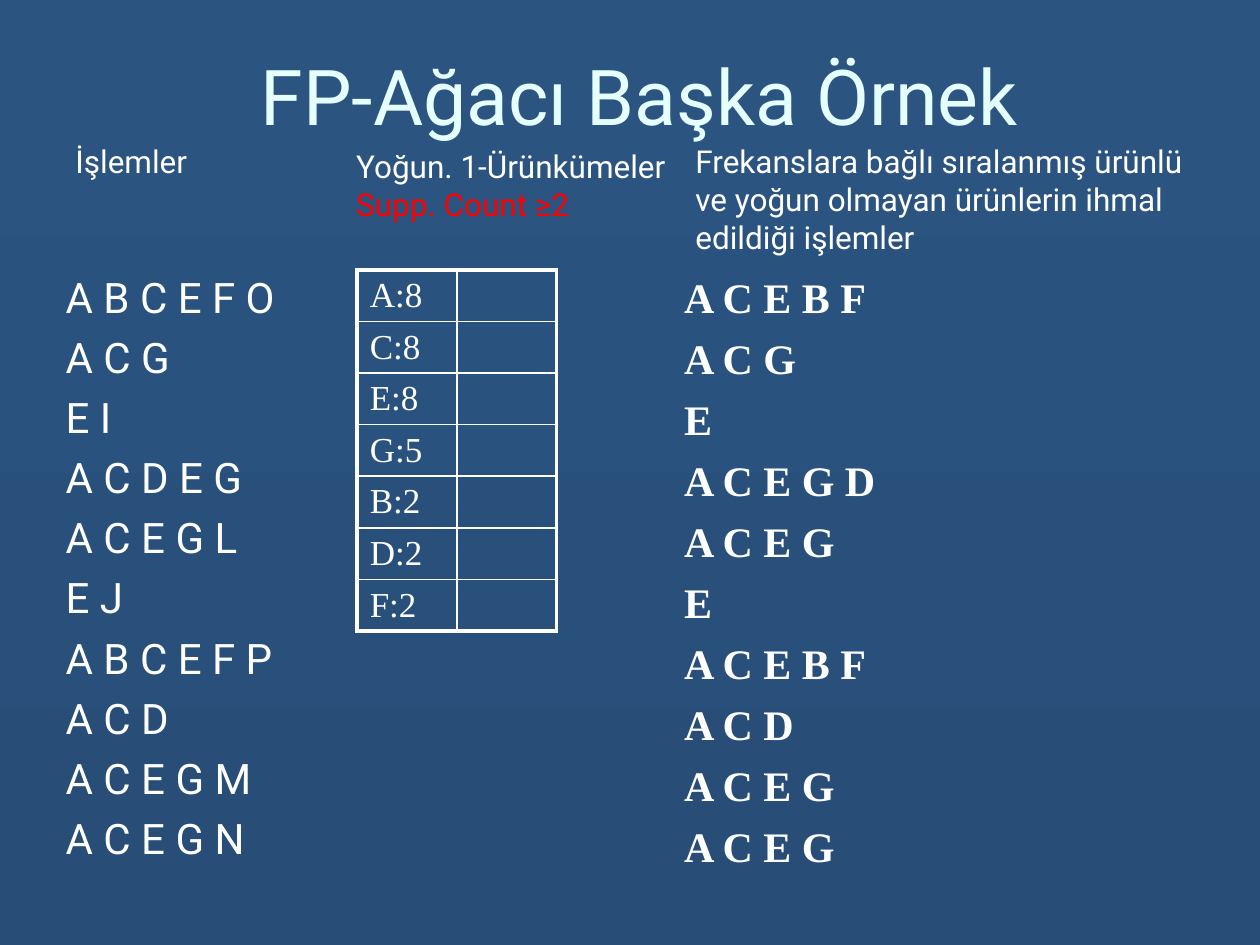
from lxml import etree
from pptx import Presentation
from pptx import util as u
from pptx.dml.color import RGBColor
from pptx.enum import text
from pptx.oxml.ns import qn

COLORS = {"title": "E5FFFF", "text": "FFFFFF", "alert": "FF0000",
          "bg_top": "2B5481", "bg_bottom": "284E78"}
SANS, SERIF = "Roboto", "Times New Roman"

TRANSACTIONS = ["A B C E F O", "A C G", "E I", "A C D E G", "A C E G L",
                "E J", "A B C E F P", "A C D", "A C E G M", "A C E G N"]
ORDERED = ["A C E B F", "A C G", "E", "A C E G D", "A C E G",
           "E", "A C E B F", "A C D", "A C E G", "A C E G"]
COUNTS = ["A:8", "C:8", "E:8", "G:5", "B:2", "D:2", "F:2"]


def rgb(name):
    return RGBColor.from_string(COLORS[name])


def add_run(p, words, size, font=SANS, color="text", bold=False):
    r = p.add_run()
    r.text = words
    r.font.size, r.font.name, r.font.bold = u.Pt(size), font, bold
    r.font.color.rgb = rgb(color)


def place(sp, box):
    sp.left, sp.top, sp.width, sp.height = (u.Cm(v) for v in box)


def paragraphs(tf, count):
    return [tf.paragraphs[0]] + [tf.add_paragraph() for _ in range(count - 1)]


def paint_background(s):
    fill = s.background.fill
    fill.gradient()
    fill.gradient_angle = 270
    for stop, name in zip(fill.gradient_stops, ("bg_top", "bg_bottom")):
        stop.color.rgb = rgb(name)


def fill_title(sp, box, words):
    place(sp, box)
    tf = sp.text_frame
    tf.auto_size = text.MSO_AUTO_SIZE.NONE
    tf.vertical_anchor = text.MSO_ANCHOR.MIDDLE
    p = tf.paragraphs[0]
    p.alignment = text.PP_ALIGN.CENTER
    add_run(p, words, 44, color="title")


def fill_item_list(sp, box, items, font, gap, bold=False):
    """List of transactions with a hanging indent and no bullets."""
    place(sp, box)
    tf = sp.text_frame
    tf.word_wrap = True
    tf.auto_size = text.MSO_AUTO_SIZE.NONE
    tf.vertical_anchor = text.MSO_ANCHOR.TOP
    tf.margin_top = u.Cm(0.2)
    for i, (p, item) in enumerate(zip(paragraphs(tf, len(items)), items)):
        pPr = p._p.get_or_add_pPr()
        pPr.set("marL", str(u.Cm(0.95)))
        pPr.set("indent", str(-u.Cm(0.95)))
        etree.SubElement(pPr, qn("a:buNone"))
        p.space_before = u.Pt(gap if i else 0)
        add_run(p, item, 24, font, bold=bold)


def add_heading(s, box, lines, wrap=False):
    sp = s.shapes.add_textbox(*(u.Cm(v) for v in box))
    tf = sp.text_frame
    tf.word_wrap = wrap
    tf.auto_size = text.MSO_AUTO_SIZE.SHAPE_TO_FIT_TEXT
    for p, (words, color) in zip(paragraphs(tf, len(lines)), lines):
        add_run(p, words, 18, color=color)


def set_borders(cell, widths):
    tcPr = cell._tc.get_or_add_tcPr()
    for i, (side, width) in enumerate(zip("LRTB", widths)):
        ln = etree.Element(qn(f"a:ln{side}"), w=str(u.Pt(width)))
        fill = etree.SubElement(ln, qn("a:solidFill"))
        etree.SubElement(fill, qn("a:srgbClr"), val=COLORS["text"])
        tcPr.insert(i, ln)


def add_count_table(s, box, counts):
    """Item counts beside an empty column, in a heavy outer frame."""
    rows, cols = len(counts), 2
    table = s.shapes.add_table(rows, cols, *(u.Cm(v) for v in box)).table
    table.first_row = table.horz_banding = False
    for col in table.columns:
        col.width = u.Cm(box[2] / cols)
    for i, count in enumerate(counts):
        table.rows[i].height = u.Cm(box[3] / rows)
        for j in range(cols):
            cell = table.cell(i, j)
            cell.fill.background()
            cell.margin_top, cell.margin_bottom = u.Cm(0.13), u.Cm(0.08)
            outer = (j == 0, j == cols - 1, i == 0, i == rows - 1)
            set_borders(cell, [2.25 if edge else 1 for edge in outer])
        add_run(table.cell(i, 0).text_frame.paragraphs[0], count, 20, SERIF)


def main():
    prs = Presentation()
    prs.slide_width, prs.slide_height = u.Cm(25.4), u.Cm(19.05)
    s = prs.slides.add_slide(prs.slide_layouts[1])
    paint_background(s)

    # Title and transactions
    fill_title(s.shapes.title, (1.47, 0, 22.86, 3.81), "FP-Ağacı Başka Örnek")
    fill_item_list(s.placeholders[1], (1.07, 5.28, 5.5, 12.9),
                   TRANSACTIONS, SANS, 5.5)

    # Frequent items
    add_count_table(s, (7.2, 5.44, 4.02, 7.28), COUNTS)

    # Ordered transactions
    ordered = s.shapes.add_textbox(0, 0, 0, 0)
    fill_item_list(ordered, (13.54, 5.28, 5.5, 12.9), ORDERED, SERIF, 6, True)

    # Column headings
    add_heading(s, (6.93, 2.84, 6.88, 1.8),
                [("Yoğun. 1-Ürünkümeler", "text"), ("Supp. Count ≥2", "alert")])
    add_heading(s, (1.27, 2.74, 2.77, 1.02), [("İşlemler", "text")])
    add_heading(s, (13.77, 2.74, 11, 2.57),
                [("Frekanslara bağlı sıralanmış ürünlü ve yoğun olmayan "
                  "ürünlerin ihmal edildiği işlemler", "text")], wrap=True)
    prs.save("out.pptx")


if __name__ == "__main__":
    main()
